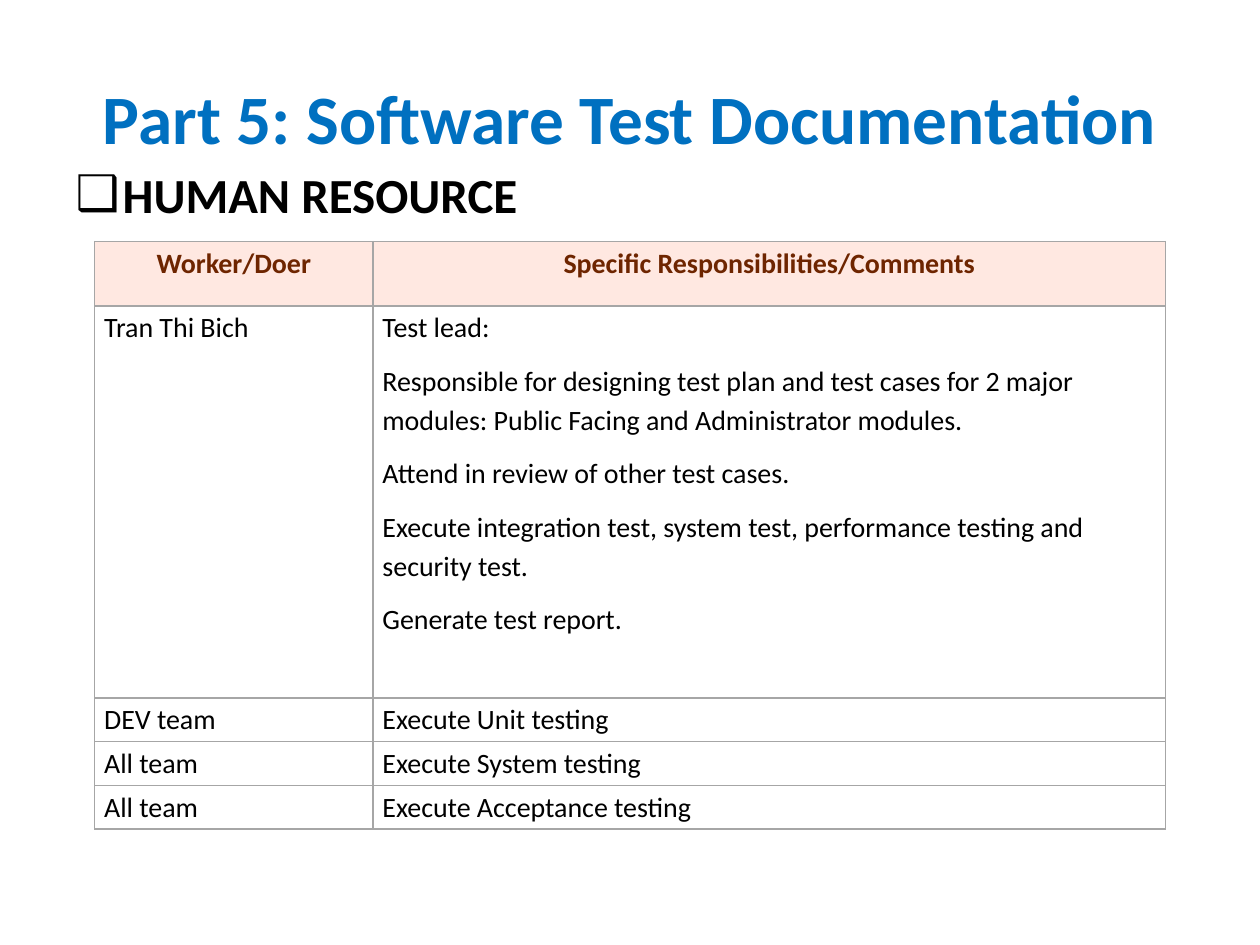
"""Build the human resource slide of a software test documentation deck."""
from dataclasses import dataclass

from lxml.etree import SubElement
from pptx import Presentation
from pptx.dml.color import RGBColor
from pptx.enum.text import MSO_ANCHOR as Anchor, MSO_AUTO_SIZE as AutoSize, PP_ALIGN as Align
from pptx.oxml.ns import qn
from pptx.util import Cm, Pt

COLORS = {
    "title": "0070C0",
    "text": "000000",
    "header": "6E2500",
    "header_fill": "FFE8E1",
    "border": "A6A6A6",
}
FONT = "Calibri"


@dataclass(frozen=True)
class Row:
    worker: str
    duties: tuple[str, ...]
    height: float
    header: bool = False


ROWS = (
    Row("Worker/Doer", ("Specific Responsibilities/Comments",), 1.3, header=True),
    Row("Tran Thi Bich", (
        "Test lead:",
        "Responsible for designing test plan and test cases for 2 major modules: "
        "Public Facing and Administrator modules.",
        "Attend in review of other test cases.",
        "Execute integration test, system test, performance testing and security test.",
        "Generate test report.",
    ), 7.9),
    Row("DEV team", ("Execute Unit testing",), 0.88),
    Row("All team", ("Execute System testing",), 0.88),
    Row("All team", ("Execute Acceptance testing",), 0.88),
)
COL_WIDTHS = (5.61, 15.98)


def write(p, text, *, size, color="text", bold=False, align=None, line=None, gap=None):
    """Put formatted text into a paragraph."""
    p.alignment = align
    if line is not None:
        p.line_spacing = line
    if gap is not None:
        p.space_before = p.space_after = Pt(gap)
    r = p.add_run()
    r.text = text
    r.font.name = FONT
    r.font.size = Pt(size)
    r.font.bold = bold
    r.font.color.rgb = RGBColor.from_string(COLORS[color])


def place(sp, left: float, top: float, width: float, height: float):
    """Position a placeholder in centimetres and return its text frame."""
    sp.left, sp.top, sp.width, sp.height = map(Cm, (left, top, width, height))
    tf = sp.text_frame
    tf.word_wrap = True
    tf.auto_size = AutoSize.NONE
    return tf


def add_bullet(p, char: str, indent: float) -> None:
    """Give a paragraph a hanging bullet."""
    pPr = p._p.get_or_add_pPr()
    pPr.set("marL", str(Cm(indent)))
    pPr.set("indent", str(-Cm(indent)))
    SubElement(pPr, qn("a:buChar"), char=char)


def add_borders(cell, color: str) -> None:
    """Draw a one point line on each side of a cell."""
    tcPr = cell._tc.get_or_add_tcPr()
    for side in ("lnL", "lnR", "lnT", "lnB"):
        ln = SubElement(tcPr, qn(f"a:{side}"), w=str(Pt(1)))
        fill = SubElement(ln, qn("a:solidFill"))
        SubElement(fill, qn("a:srgbClr"), val=COLORS[color])


def fill_cell(cell, texts: tuple[str, ...], header: bool) -> None:
    """Format one table cell and write its paragraphs."""
    cell.margin_left = cell.margin_right = Cm(0.19)
    cell.margin_top = cell.margin_bottom = 0
    add_borders(cell, "border")
    if header:
        cell.fill.solid()
        cell.fill.fore_color.rgb = RGBColor.from_string(COLORS["header_fill"])
    else:
        cell.fill.background()
    tf = cell.text_frame
    for i, text in enumerate(texts):
        p = tf.add_paragraph() if i else tf.paragraphs[0]
        write(p, text, size=16, color="header" if header else "text", bold=header,
              align=Align.CENTER if header else Align.LEFT, line=1.15, gap=4)


def add_staff_table(s, rows: tuple[Row, ...], left: float, top: float) -> None:
    """Add the table of workers and responsibilities."""
    height = sum(row.height for row in rows)
    table = s.shapes.add_table(len(rows), len(COL_WIDTHS), Cm(left), Cm(top),
                               Cm(sum(COL_WIDTHS)), Cm(height)).table
    table.horz_banding = False
    table.first_row = False
    for col, width in zip(table.columns, COL_WIDTHS):
        col.width = Cm(width)
    for i, row in enumerate(rows):
        table.rows[i].height = Cm(row.height)
        fill_cell(table.cell(i, 0), (row.worker,), row.header)
        fill_cell(table.cell(i, 1), row.duties, row.header)


def main() -> None:
    """Build and save the slide."""
    prs = Presentation()
    prs.slide_width, prs.slide_height = Cm(25.4), Cm(19.05)
    s = prs.slides.add_slide(prs.slide_layouts[1])

    tf = place(s.shapes.title, 1.27, 0.76, 22.86, 3.18)
    tf.vertical_anchor = Anchor.MIDDLE
    write(tf.paragraphs[0], "Part 5: Software Test Documentation", size=39.6,
          color="title", bold=True, align=Align.CENTER)

    tf = place(s.placeholders[1], 1.27, 3.18, 22.86, 13.84)
    write(tf.paragraphs[0], "HUMAN RESOURCE", size=28, bold=True)
    add_bullet(tf.paragraphs[0], "❑", 0.95)

    add_staff_table(s, ROWS, 1.91, 4.87)
    prs.save("out.pptx")


if __name__ == "__main__":
    main()
